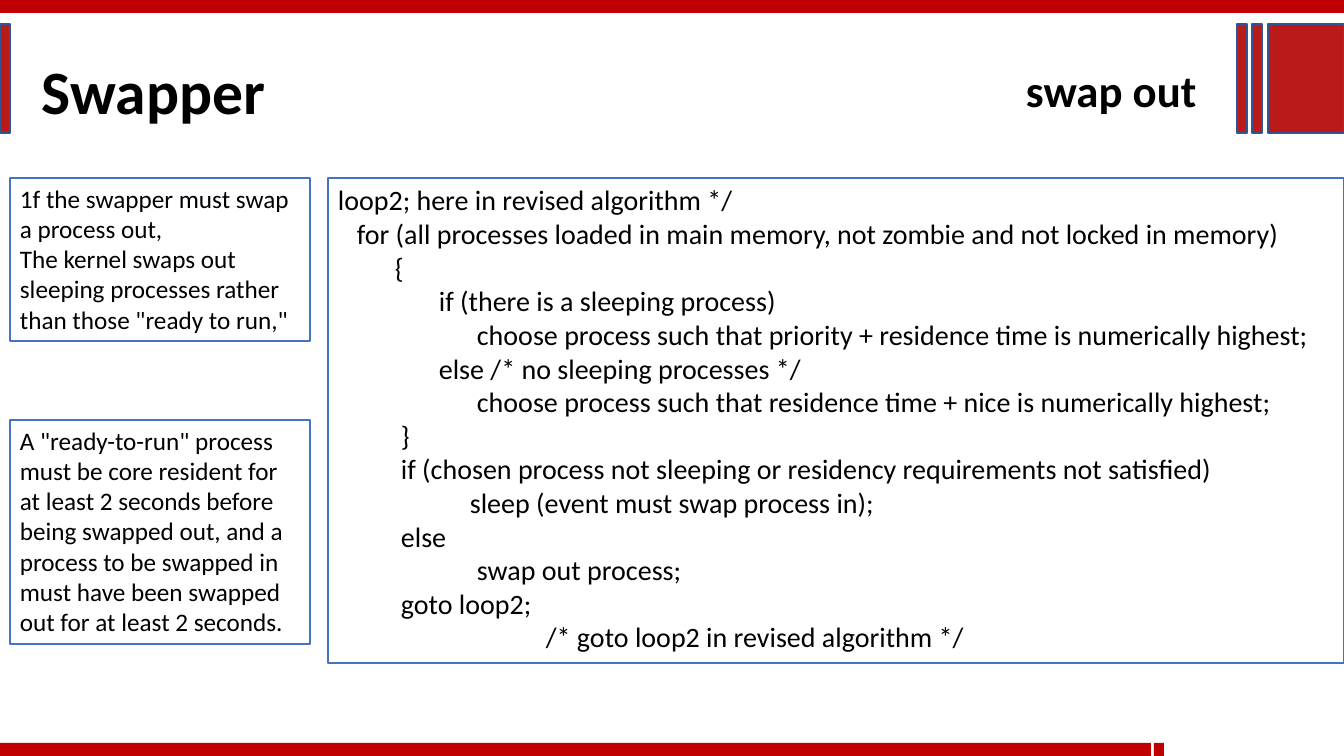
from pptx import Presentation
from pptx.dml.color import RGBColor
from pptx.enum.shapes import MSO_SHAPE
from pptx.enum.text import MSO_ANCHOR, MSO_AUTO_SIZE, PP_ALIGN
from pptx.util import Pt

RECTANGLE = MSO_SHAPE.RECTANGLE
TOP = MSO_ANCHOR.TOP
GROW = MSO_AUTO_SIZE.SHAPE_TO_FIT_TEXT
LEFT = PP_ALIGN.LEFT

PX = 914400 / 100.8
WIDTH, HEIGHT = 1344, 756
THEME = {
    "font": "Calibri",
    "text": RGBColor.from_string("000000"),
    "paper": RGBColor.from_string("FFFFFF"),
    "band": RGBColor.from_string("C00000"),
    "block": RGBColor.from_string("BA1A1A"),
    "block_edge": RGBColor.from_string("325491"),
    "panel_edge": RGBColor.from_string("4472C4"),
    "title": 44,
    "subtitle": 32,
    "code": 20,
    "note": 18,
}

prs = Presentation()
prs.slide_width, prs.slide_height = round(WIDTH * PX), round(HEIGHT * PX)
slide = prs.slides.add_slide(prs.slide_layouts[6])


def add_rectangle(box, fill, edge=None):
    rectangle = slide.shapes.add_shape(RECTANGLE, *(round(v * PX) for v in box))
    rectangle.shadow.inherit = False
    rectangle.fill.solid()
    rectangle.fill.fore_color.rgb = THEME[fill]
    if edge:
        rectangle.line.color.rgb = THEME[edge]
        rectangle.line.width = Pt(1)
    else:
        rectangle.line.fill.background()
    return rectangle


def write(holder, lines, role, bold=False):
    """Fill a shape with (indent in px, text) lines in the type size of a role."""
    frame = holder.text_frame
    frame.word_wrap = True
    frame.auto_size = GROW
    frame.vertical_anchor = TOP
    for number, (indent, text) in enumerate(lines):
        paragraph = frame.add_paragraph() if number else frame.paragraphs[0]
        paragraph.text = text
        paragraph.alignment = LEFT
        paragraph.font.name = THEME["font"]
        paragraph.font.size = Pt(THEME[role])
        paragraph.font.bold = bold
        paragraph.font.color.rgb = THEME["text"]
        if indent:
            properties = paragraph._p.get_or_add_pPr()
            properties.set("marL", str(round(indent * PX)))
            properties.set("indent", "0")


# Red bands along the top and bottom edges
for band in [(0, 0, WIDTH, 13), (0, 743, 1151, 13), (1154, 743, 10, 13)]:
    add_rectangle(band, "band")

# Blocks on either side of the headings
for left, width in [(0, 10), (1268, 76), (1252, 10), (1237, 10)]:
    add_rectangle((left, 24, width, 109), "block", "block_edge")

# Headings
headings = [
    ("Swapper", (32, 48, 1084, 85), "title"),
    ("swap out", (1016, 58, 202, 65), "subtitle"),
]
for text, box, role in headings:
    heading = slide.shapes.add_textbox(*(round(v * PX) for v in box))
    write(heading, [(0, text)], role, bold=True)

# Algorithm and notes
algorithm = [
    (0, "loop2; here in revised algorithm */"),
    (19, "for (all processes loaded in main memory, not zombie and not locked in memory)"),
    (57, "{"),
    (101, "if (there is a sleeping process)"),
    (139, "choose process such that priority + residence time is numerically highest;"),
    (101, "else /* no sleeping processes */"),
    (139, "choose process such that residence time + nice is numerically highest;"),
    (63, "}"),
    (63, "if (chosen process not sleeping or residency requirements not satisfied)"),
    (132, "sleep (event must swap process in);"),
    (63, "else"),
    (139, "swap out process;"),
    (63, "goto loop2;"),
    (208, "/* goto loop2 in revised algorithm */"),
]
victim_note = [
    (0, "1f the swapper must swap a process out,"),
    (0, 'The kernel swaps out sleeping processes rather than those "ready to run,"'),
]
residency_note = [
    (0, 'A "ready-to-run" process must be core resident for at least 2 seconds '
        "before being swapped out, and a process to be swapped in must have been "
        "swapped out for at least 2 seconds."),
]
panels = [
    (algorithm, (328, 178, 1016, 485), "code"),
    (victim_note, (10, 178, 300, 163), "note"),
    (residency_note, (10, 420, 300, 224), "note"),
]
for lines, box, role in panels:
    write(add_rectangle(box, "paper", "panel_edge"), lines, role)

prs.save("out.pptx")
